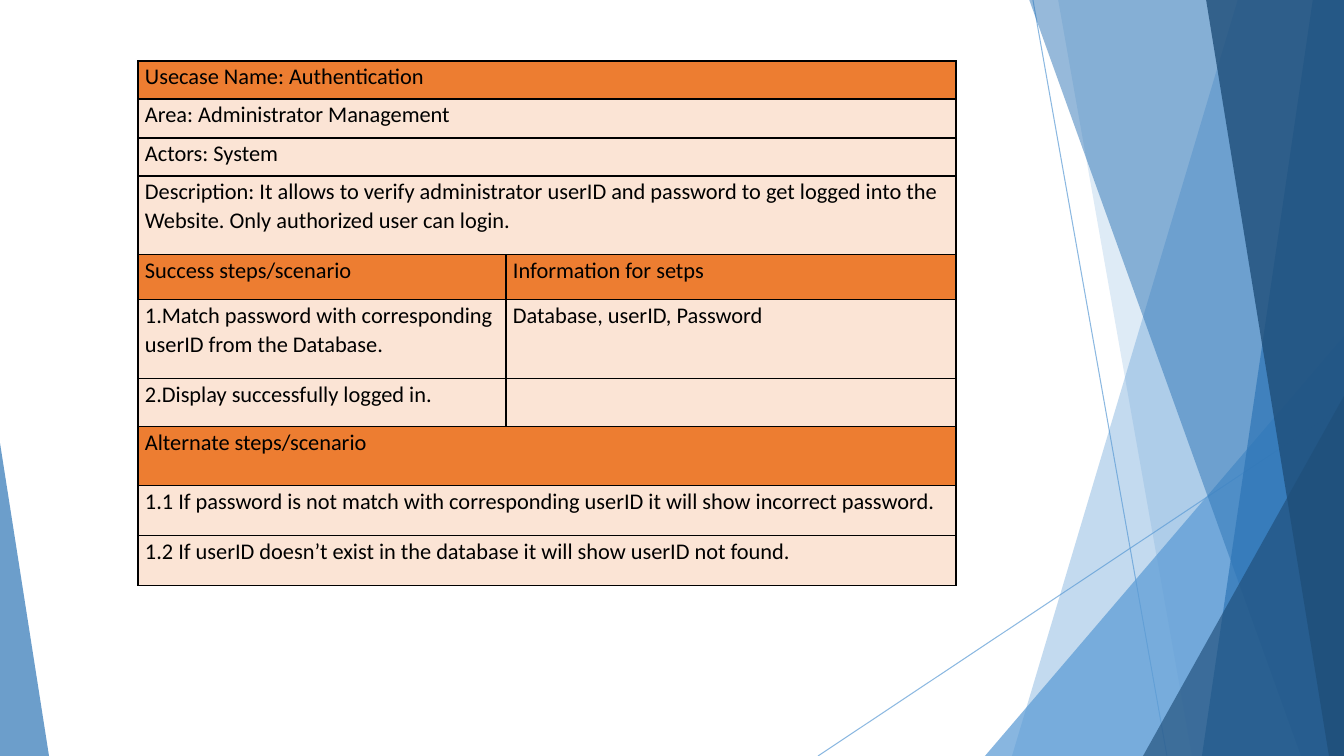
from lxml import etree
from pptx import Presentation
from pptx.dml.color import RGBColor
from pptx.enum.shapes import MSO_CONNECTOR, MSO_SHAPE
from pptx.oxml.ns import qn
from pptx.util import Pt

STRAIGHT = MSO_CONNECTOR.STRAIGHT
TRIANGLE = MSO_SHAPE.ISOSCELES_TRIANGLE

# Content: row height in px, fill name, one text (full width) or two
ROWS = [
    (38, "head", ["Usecase Name: Authentication"]),
    (39, "body", ["Area: Administrator Management"]),
    (38, "body", ["Actors: System"]),
    (79, "body", ["Description: It allows to verify administrator userID and password "
                  "to get logged into the Website. Only authorized user can login."]),
    (45, "head", ["Success steps/scenario", "Information for setps"]),
    (79, "body", ["1.Match password with corresponding userID from the Database.",
                  "Database, userID, Password"]),
    (48, "body", ["2.Display successfully logged in.", ""]),
    (59, "head", ["Alternate steps/scenario"]),
    (50, "body", ["1.1 If password is not match with corresponding userID "
                  "it will show incorrect password."]),
    (50, "body", ["1.2 If userID doesn’t exist in the database "
                  "it will show userID not found."]),
]
COL_WIDTHS = [368, 450]
TABLE_LEFT, TABLE_TOP, CELL_MARGIN = 138, 61, 7

# Decoration: px geometry, colour name, opacity in percent
W, H = 1344, 756
LINES = [(1033, 0, 1167, H), (W, 406, 818, H)]
BANDS_BACK = [  # top left x, bottom left x; each band runs to the right edge
    (1238, 1012, "light", 36),
    (1058, 1192, "light", 20),
]
BANDS_FRONT = [
    (1029, 1301, "mid", 50),
    (1313, 1202, "mid", 70),
    (1206, 1329, "dark", 80),
]
# left, top, width, apex position, colour name, opacity; each stands on the bottom edge
WEDGE_BACK = (985, 336, 359, 1, "light", 72)
WEDGES_FRONT = [(1143, 396, 201, 1, "dark", 66), (0, 443, 49, 0, "mid", 70)]

THEME = {
    "light": "5B9BD5", "mid": "2E75B6", "dark": "1F4E79",
    "head": "ED7D31", "body": "FBE4D5", "text": "000000", "border": "000000",
    "font": "Calibri", "size": 16, "spacing": 1.07, "border_pt": 1, "line_pt": 0.75,
}
SCALE = 914400 / 100.8


def px(n):
    return round(n * SCALE)


def color(name):
    return RGBColor.from_string(THEME[name])


def set_alpha(parent, percent):
    clr = next(parent.iter(qn("a:srgbClr")))
    etree.SubElement(clr, qn("a:alpha")).set("val", str(percent * 1000))


def style_shape(sp, name, alpha):
    sp.shadow.inherit = False
    sp.fill.solid()
    sp.fill.fore_color.rgb = color(name)
    sp.line.fill.background()
    set_alpha(sp._element.spPr, alpha)


def add_line(s, x1, y1, x2, y2):
    line = s.shapes.add_connector(STRAIGHT, px(x1), px(y1), px(x2), px(y2))
    line.line.color.rgb = color("light")
    line.line.width = Pt(THEME["line_pt"])
    sp_pr = line._element.spPr
    set_alpha(sp_pr, 70)
    etree.SubElement(sp_pr, qn("a:effectLst"))


def add_band(s, top_x, bottom_x, name, alpha):
    fb = s.shapes.build_freeform(top_x, -1, SCALE)
    fb.add_line_segments([(W, -1), (W, H), (bottom_x, H)], close=True)
    style_shape(fb.convert_to_shape(), name, alpha)


def add_wedge(s, left, top, width, apex, name, alpha):
    sp = s.shapes.add_shape(TRIANGLE, px(left), px(top), px(width), px(H - top))
    sp.adjustments[0] = apex
    style_shape(sp, name, alpha)


def write(tf, text, *, font, size, fill, spacing):
    p = tf.paragraphs[0]
    p.line_spacing = spacing
    p.font.size = Pt(size)
    if text:
        r = p.add_run()
        r.text = text
        r.font.name = font
        r.font.size = Pt(size)
        r.font.color.rgb = color(fill)


def style_cell(cell, fill):
    cell.margin_left = cell.margin_right = px(CELL_MARGIN)
    cell.margin_top = cell.margin_bottom = 0
    tc_pr = cell._tc.get_or_add_tcPr()
    for side in ("lnL", "lnR", "lnT", "lnB"):
        ln = etree.SubElement(tc_pr, qn(f"a:{side}"), w=str(Pt(THEME["border_pt"])))
        solid = etree.SubElement(ln, qn("a:solidFill"))
        etree.SubElement(solid, qn("a:srgbClr"), val=THEME["border"])
    cell.fill.solid()
    cell.fill.fore_color.rgb = color(fill)


def add_usecase_table(s):
    height = sum(row[0] for row in ROWS)
    table = s.shapes.add_table(len(ROWS), len(COL_WIDTHS), px(TABLE_LEFT), px(TABLE_TOP),
                               px(sum(COL_WIDTHS)), px(height)).table
    for col, width in zip(table.columns, COL_WIDTHS):
        col.width = px(width)
    for i, (row_height, fill, texts) in enumerate(ROWS):
        table.rows[i].height = px(row_height)
        cells = [table.cell(i, j) for j in range(len(COL_WIDTHS))]
        for cell in cells:
            style_cell(cell, fill)
        if len(texts) == 1:
            cells[0].merge(cells[-1])
        for cell, text in zip(cells, texts):
            write(cell.text_frame, text, font=THEME["font"], size=THEME["size"],
                  fill="text", spacing=THEME["spacing"])


def main():
    prs = Presentation()
    prs.slide_width, prs.slide_height = px(W), px(H)
    s = prs.slides.add_slide(prs.slide_layouts[6])

    # Decoration, back to front
    for line in LINES:
        add_line(s, *line)
    for band in BANDS_BACK:
        add_band(s, *band)
    add_wedge(s, *WEDGE_BACK)
    for band in BANDS_FRONT:
        add_band(s, *band)
    for wedge in WEDGES_FRONT:
        add_wedge(s, *wedge)

    # Use case table
    add_usecase_table(s)
    prs.save("out.pptx")


if __name__ == "__main__":
    main()
